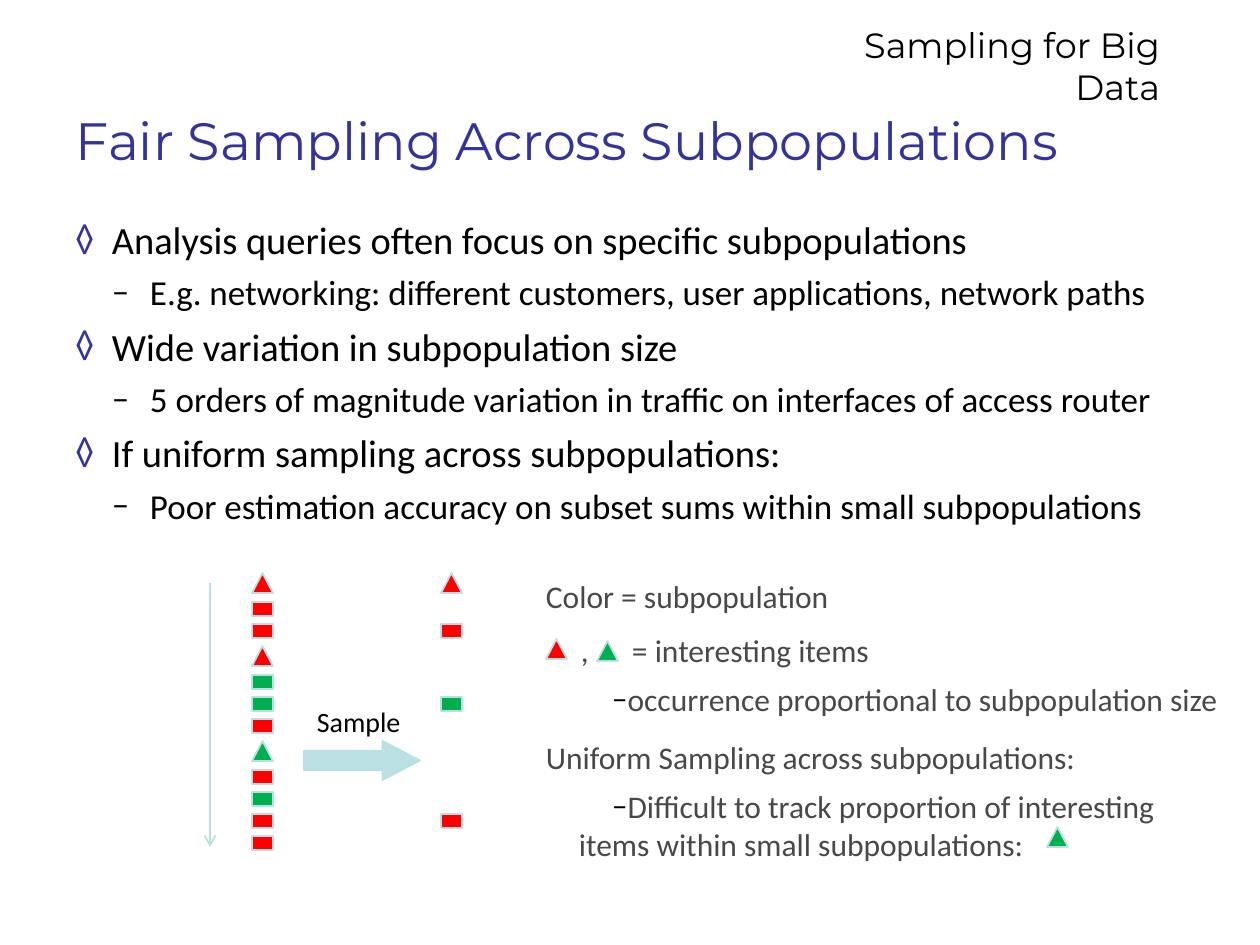
from lxml import etree
from pptx import Presentation, util as u
from pptx.dml.color import RGBColor
from pptx.enum import shapes, text
from pptx.oxml.ns import qn

SCALE = 914400 / 126
BLACK = RGBColor(0x00, 0x00, 0x00)
BLUE = RGBColor(0x33, 0x33, 0x99)
GREY = RGBColor(0x48, 0x48, 0x48)
PALE = RGBColor(0xBB, 0xE0, 0xE3)
RED = RGBColor(0xFF, 0x00, 0x00)
GREEN = RGBColor(0x00, 0xB0, 0x50)

TRI = shapes.MSO_SHAPE.ISOSCELES_TRIANGLE
RECT = shapes.MSO_SHAPE.RECTANGLE
HEIGHT = {TRI: 20, RECT: 14}
STEP = {TRI: 29, RECT: 22}

STREAM = [(TRI, RED), (RECT, RED), (RECT, RED), (TRI, RED),
          (RECT, GREEN), (RECT, GREEN), (RECT, RED), (TRI, GREEN),
          (RECT, RED), (RECT, GREEN), (RECT, RED), (RECT, RED)]
SAMPLED = {0, 2, 5, 10}

POINTS = [
    ("Analysis queries often focus on specific subpopulations",
     "E.g. networking: different customers, user applications, network paths"),
    ("Wide variation in subpopulation size",
     "5 orders of magnitude variation in traffic on interfaces of access router"),
    ("If uniform sampling across subpopulations:",
     "Poor estimation accuracy on subset sums within small subpopulations"),
]


def px(n):
    return u.Emu(round(n * SCALE))


def add_box(slide, x, y, w, h, inset=(13, 6), anchor=text.MSO_ANCHOR.TOP):
    frame = slide.shapes.add_textbox(px(x), px(y), px(w), px(h)).text_frame
    frame.word_wrap = True
    frame.vertical_anchor = anchor
    frame.margin_left = frame.margin_right = px(inset[0])
    frame.margin_top = frame.margin_bottom = px(inset[1])
    return frame


def add_text(frame, words, size, color=BLACK, font="Calibri", align=None,
             left=0, indent=0, before=0, after=0, bullet=None, tint=BLACK):
    first = not frame.text
    para = frame.paragraphs[0] if first else frame.add_paragraph()
    props = para._p.get_or_add_pPr()
    props.set("marL", str(px(left)))
    props.set("indent", str(px(indent)))
    if bullet:
        paint = etree.SubElement(props, qn("a:buClr"))
        etree.SubElement(paint, qn("a:srgbClr"), val=str(tint))
        etree.SubElement(props, qn("a:buFont"), typeface=font)
        etree.SubElement(props, qn("a:buChar"), char=bullet)
    para.space_before = u.Pt(0 if first else before)
    para.space_after = u.Pt(after)
    para.alignment = align
    run = para.add_run()
    run.text = words
    run.font.size = u.Pt(size)
    run.font.name = font
    run.font.color.rgb = color


def add_shape(slide, kind, x, y, w, h, fill):
    shape = slide.shapes.add_shape(kind, px(x), px(y), px(w), px(h))
    shape.shadow.inherit = False
    shape.fill.solid()
    shape.fill.fore_color.rgb = fill
    shape.line.color.rgb = PALE
    shape.line.width = u.Pt(1)
    return shape


def add_item(slide, kind, color, x, y):
    add_shape(slide, kind, x, y, 21, HEIGHT[kind], color)


def add_arrow(slide, x1, y1, x2, y2):
    line = slide.shapes.add_connector(
        shapes.MSO_CONNECTOR.STRAIGHT, px(x1), px(y1), px(x2), px(y2))
    line.line.color.rgb = PALE
    line.line.width = u.Pt(1)
    etree.SubElement(line.line._get_or_add_ln(), qn("a:tailEnd"), type="arrow")
    etree.SubElement(line._element.spPr, qn("a:effectLst"))


def add_points(slide):
    body = add_box(slide, 62, 210, 1135, 625)
    for point, detail in POINTS:
        add_text(body, point, 22, left=37, indent=-37, before=5.5,
                 bullet="◊", tint=BLUE)
        add_text(body, detail, 20, left=75, indent=-38, before=5, bullet="–")


def add_stream(slide):
    # Time axis, full stream and the sampled stream beside it
    add_arrow(slide, 210, 583, 210, 847)
    y = 573
    for i, (kind, color) in enumerate(STREAM):
        add_item(slide, kind, color, 252, y)
        if i in SAMPLED:
            add_item(slide, kind, color, 441, y)
        y += STEP[kind]

    # Sampling step
    label = add_box(slide, 304, 699, 126, 33)
    add_text(label, "Sample", 16)
    arrow = add_shape(slide, shapes.MSO_SHAPE.RIGHT_ARROW,
                      304, 741, 116, 39, PALE)
    arrow.adjustments[1] = 0.96


def add_notes(slide):
    notes = add_box(slide, 546, 577, 678, 126, inset=(0, 0))
    base = dict(size=18, color=GREY)
    main_fmt = dict(base, before=4.5, after=4.5)
    sub_fmt = dict(base, left=33, indent=33, before=2.2, after=6.8, bullet="–")
    add_text(notes, "Color = subpopulation", **main_fmt)
    # The hanging indent leaves room for the two markers
    add_text(notes, ",\t= interesting items", left=86, indent=-51, **main_fmt)
    add_text(notes, "occurrence proportional to subpopulation size", **sub_fmt)
    add_text(notes, "Uniform Sampling across subpopulations:", **main_fmt)
    add_text(notes, "Difficult to track proportion of interesting items "
             "within small subpopulations:", **sub_fmt)

    # Markers set within the notes
    for color, x, y in [(RED, 546, 639), (GREEN, 597, 641), (GREEN, 1047, 827)]:
        add_item(slide, TRI, color, x, y)


def main():
    deck = Presentation()
    deck.slide_width, deck.slide_height = px(1260), px(945)
    slide = deck.slides.add_slide(deck.slide_layouts[6])

    # Running head and title
    head = add_box(slide, 787, 17, 386, 97)
    add_text(head, "Sampling for Big Data", 20, font="Montserrat",
             align=text.PP_ALIGN.RIGHT)
    title = add_box(slide, 63, 84, 1134, 111, anchor=text.MSO_ANCHOR.MIDDLE)
    add_text(title, "Fair Sampling Across Subpopulations", 30, BLUE,
             "Montserrat")

    add_points(slide)
    add_stream(slide)
    add_notes(slide)
    deck.save("out.pptx")


if __name__ == "__main__":
    main()
